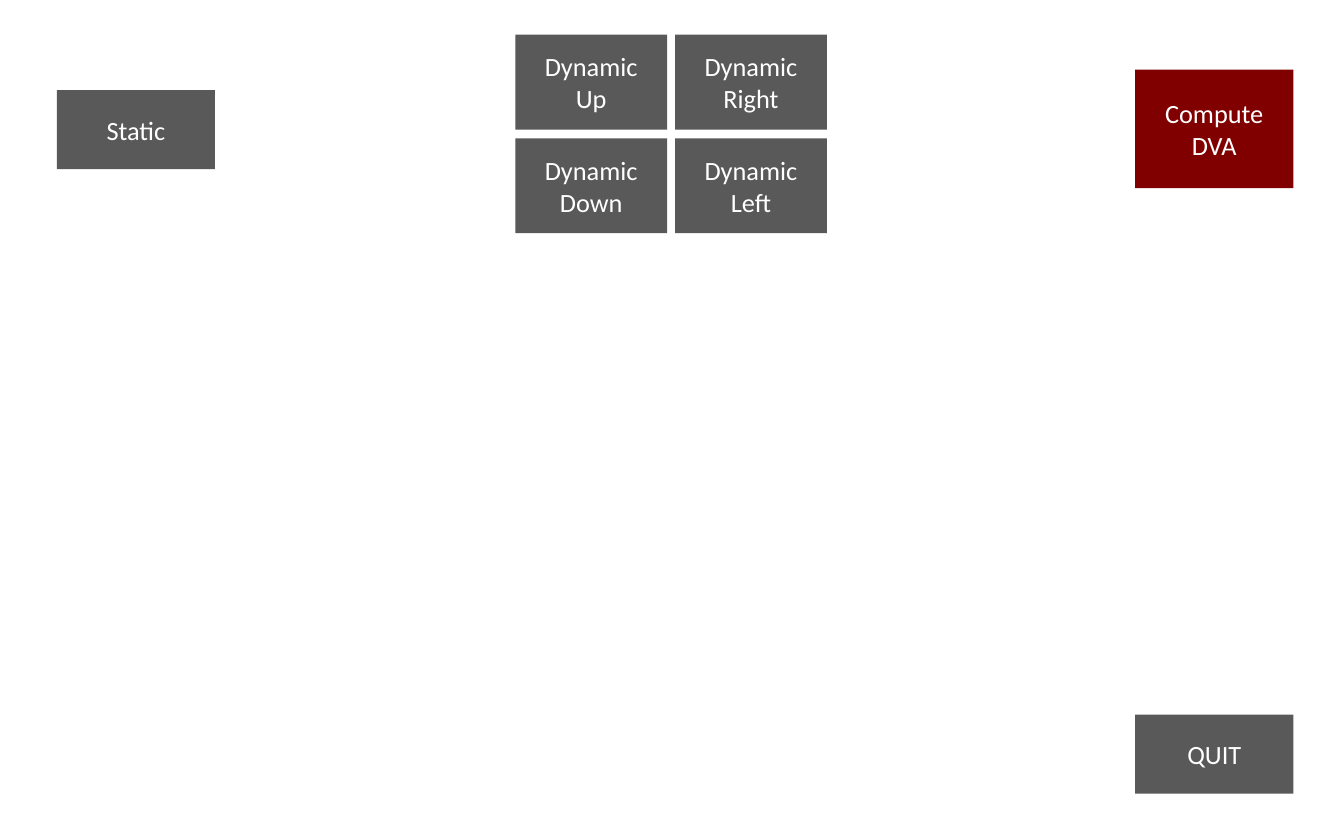
import pptx
import pptx.util
import pptx.dml.color
import pptx.enum.shapes
import pptx.enum.text

WIDTH, HEIGHT = 8.5, 5.25
GREY, RED, WHITE = "595959", "800000", "FFFFFF"
FONT = {"name": "Calibri", "size": pptx.util.Pt(12)}

# Direction pad: left, top, cell size and pitch in inches
PAD_LEFT, PAD_TOP = 3.26, 0.22
CELL_W, CELL_H = 0.96, 0.6
PITCH_X, PITCH_Y = 1.01, 0.655
DIRECTIONS = [["Up", "Right"], ["Down", "Left"]]

# Side buttons
BUTTON_W, BUTTON_H = 1, 0.5
LEFT_COL, RIGHT_COL = 0.36, 7.18


def rgb(hex_colour):
    return pptx.dml.color.RGBColor.from_string(hex_colour)


def add_button(shapes, lines, left, top, width=BUTTON_W, height=BUTTON_H, fill=GREY):
    """Add a flat rectangle with one centred paragraph per line."""
    box = [pptx.util.Inches(v) for v in (left, top, width, height)]
    sp = shapes.add_shape(pptx.enum.shapes.MSO_SHAPE.RECTANGLE, *box)
    sp.shadow.inherit = False
    sp.fill.solid()
    sp.fill.fore_color.rgb = rgb(fill)
    sp.line.fill.background()
    tf = sp.text_frame
    tf.word_wrap = True
    tf.vertical_anchor = pptx.enum.text.MSO_ANCHOR.MIDDLE
    tf.text = "\n".join(lines)
    for p in tf.paragraphs:
        p.alignment = pptx.enum.text.PP_ALIGN.CENTER
        for r in p.runs:
            for key, value in FONT.items():
                setattr(r.font, key, value)
            r.font.color.rgb = rgb(WHITE)


def add_direction_pad(slide):
    """Add the grouped two-by-two grid of dynamic test buttons."""
    group = slide.shapes.add_group_shape()
    for row, names in enumerate(DIRECTIONS):
        for col, name in enumerate(names):
            add_button(group.shapes, ["Dynamic", name],
                       PAD_LEFT + col * PITCH_X, PAD_TOP + row * PITCH_Y,
                       CELL_W, CELL_H)


def main():
    prs = pptx.Presentation()
    prs.slide_width = pptx.util.Inches(WIDTH)
    prs.slide_height = pptx.util.Inches(HEIGHT)
    slide = prs.slides.add_slide(prs.slide_layouts[6])

    # Test buttons
    add_button(slide.shapes, ["Static"], LEFT_COL, 0.57)
    add_direction_pad(slide)

    # Result and exit buttons
    add_button(slide.shapes, ["Compute", "DVA"], RIGHT_COL, 0.44, height=0.75, fill=RED)
    add_button(slide.shapes, ["QUIT"], RIGHT_COL, 4.52)

    prs.save("out.pptx")


main()
